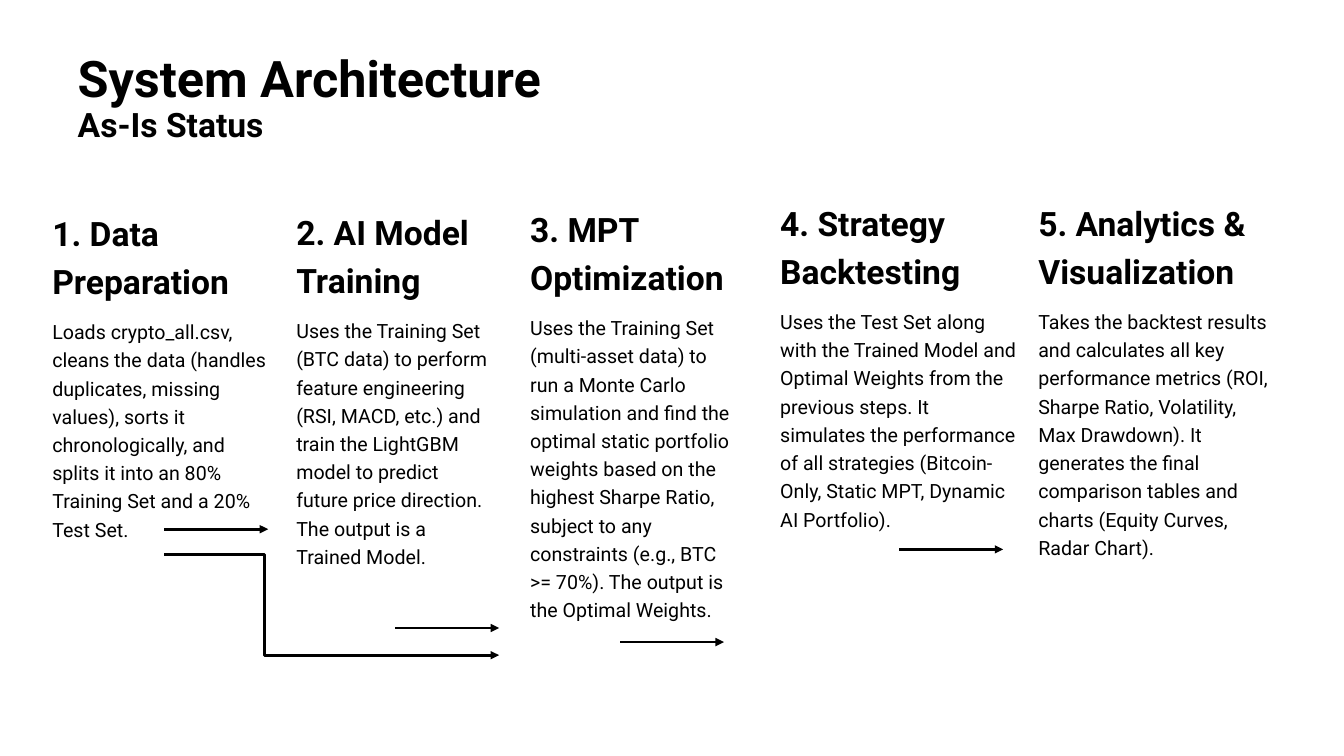
from copy import deepcopy

from lxml.etree import SubElement
from pptx import Presentation
from pptx.dml.color import RGBColor
from pptx.enum.shapes import MSO_CONNECTOR
from pptx.enum.text import MSO_ANCHOR, MSO_AUTO_SIZE, PP_ALIGN
from pptx.oxml.ns import qn
from pptx.util import Inches, Pt

BLACK = "000000"
TITLE = {"name": "Roboto", "size": Pt(36), "bold": True}
HEADING = {**TITLE, "size": Pt(24)}
BODY = {**TITLE, "size": Pt(14), "bold": False}
FRAME = {"word_wrap": True, "auto_size": MSO_AUTO_SIZE.NONE, "vertical_anchor": MSO_ANCHOR.TOP}


def rgb(value):
    return RGBColor.from_string(value)


def add_run(p, text, style):
    r = p.add_run()
    r.text = text
    for key, value in style.items():
        setattr(r.font, key, value)
    r.font.color.rgb = rgb(BLACK)
    return r


prs = Presentation()
prs.slide_width, prs.slide_height = Inches(13.33), Inches(7.5)
s = prs.slides.add_slide(prs.slide_layouts[5])
s.background.fill.solid()
s.background.fill.fore_color.rgb = rgb("FFFFFF")

title = s.shapes.title
box = {"left": 0.67, "top": 0.49, "width": 11.65, "height": 1.24}
for key, value in box.items():
    setattr(title, key, Inches(value))
for key, value in FRAME.items():
    setattr(title.text_frame, key, value)
p = title.text_frame.paragraphs[0]
p.alignment, p.line_spacing = PP_ALIGN.LEFT, 0.9
r = add_run(p, "System Architecture", TITLE)
p.add_line_break()
p._p.find(qn("a:br")).append(deepcopy(r._r.rPr))
add_run(p, "As-Is Status", HEADING)

steps = [
    (0.42, 1.98, 2.42, "1. Data Preparation",
     "Loads crypto_all.csv, cleans the data (handles duplicates, missing values), sorts it "
     "chronologically, and splits it into an 80% Training Set and a 20% Test Set."),
    (2.84, 1.97, 2.11, "2. AI Model Training",
     "Uses the Training Set (BTC data) to perform feature engineering (RSI, MACD, etc.) and "
     "train the LightGBM model to predict future price direction. The output is a Trained Model."),
    (5.16, 1.94, 2.27, "3. MPT Optimization",
     "Uses the Training Set (multi-asset data) to run a Monte Carlo simulation and find the "
     "optimal static portfolio weights based on the highest Sharpe Ratio, subject to any "
     "constraints (e.g., BTC >= 70%). The output is the Optimal Weights."),
    (7.64, 1.88, 2.56, "4. Strategy Backtesting",
     "Uses the Test Set along with the Trained Model and Optimal Weights from the previous "
     "steps. It simulates the performance of all strategies (Bitcoin-Only, Static MPT, "
     "Dynamic AI Portfolio)."),
    (10.2, 1.88, 2.56, "5. Analytics & Visualization",
     "Takes the backtest results and calculates all key performance metrics (ROI, Sharpe "
     "Ratio, Volatility, Max Drawdown). It generates the final comparison tables and charts "
     "(Equity Curves, Radar Chart)."),
]
for left, top, width, heading, body in steps:
    sp = s.shapes.add_textbox(Inches(left), Inches(top), Inches(width), Inches(5.02))
    tf = sp.text_frame
    for key, value in FRAME.items():
        setattr(tf, key, value)
    for p, text, style in [(tf.paragraphs[0], heading, HEADING), (tf.add_paragraph(), body, BODY)]:
        p.line_spacing, p.space_before = 1.2, Pt(10)
        add_run(p, text, style)

ARROW = 1.03
arrows = [(MSO_CONNECTOR.STRAIGHT, x, y, x + ARROW, y)
          for x, y in [(1.63, 5.25), (3.92, 6.23), (6.15, 6.37), (8.92, 5.45)]]
arrows.append((MSO_CONNECTOR.ELBOW, 1.63, 5.5, 4.95, 6.5))
for kind, *ends in arrows:
    cxn = s.shapes.add_connector(kind, *map(Inches, ends))
    cxn.line.width = Pt(2)
    cxn.line.color.rgb = rgb(BLACK)
    SubElement(cxn.line._get_or_add_ln(), qn("a:tailEnd"), type="triangle")
    spPr = cxn._element.spPr
    SubElement(spPr, qn("a:effectLst"))
    if kind == MSO_CONNECTOR.ELBOW:
        avLst = spPr.find(qn("a:prstGeom")).get_or_add_avLst()
        SubElement(avLst, qn("a:gd"), name="adj1", fmla="val 29800")

prs.save("out.pptx")
